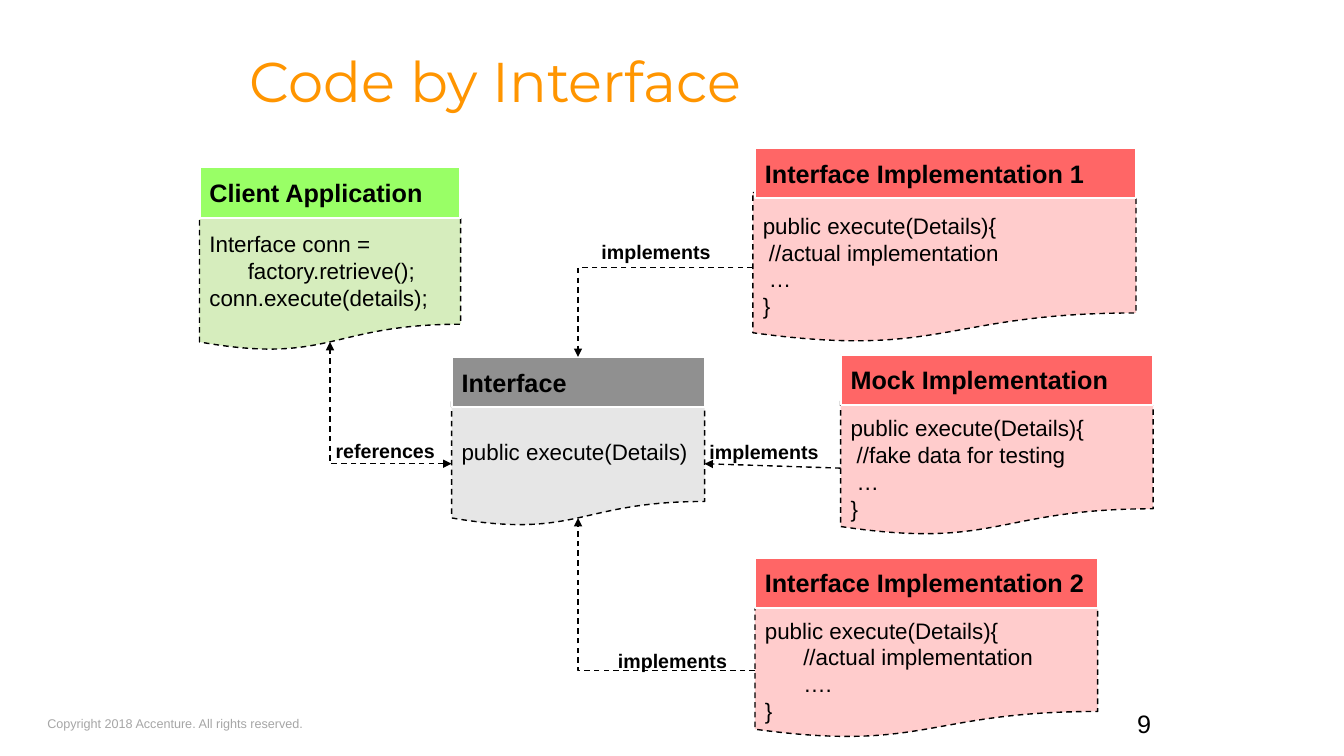
from dataclasses import dataclass

from lxml.etree import SubElement
from pptx import Presentation
from pptx.dml.color import RGBColor
from pptx.enum.dml import MSO_LINE
from pptx.enum.shapes import MSO_CONNECTOR, MSO_SHAPE
from pptx.enum.text import MSO_ANCHOR as ANCHOR, PP_ALIGN as ALIGN
from pptx.oxml.ns import qn
from pptx.util import Pt


@dataclass(frozen=True)
class Theme:
    """Colours, fonts and type sizes of the slide."""
    font: str = "Arial"
    title_font: str = "Montserrat"
    title: str = "FF9500"
    ink: str = "000000"
    paper: str = "FFFFFF"
    muted: str = "A6A6A6"
    green: tuple = ("99FF66", "D6EDBD")
    grey: tuple = ("909090", "E6E6E6")
    red: tuple = ("FF6666", "FFCCCC")
    title_size: float = 40
    head_size: float = 18
    code_size: float = 16
    label_size: float = 14
    foot_size: float = 9


T = Theme()
HEAD_H = 36
CODE_LINE = 18.4
WAVE_FOOT = 0.934


@dataclass(frozen=True)
class Box:
    """A rectangle in points with the points where links attach."""
    x: float
    y: float
    w: float
    h: float

    @property
    def left(self):
        """Middle of the left side."""
        return self.x, self.y + self.h / 2

    @property
    def right(self):
        """Middle of the right side."""
        return self.x + self.w, self.y + self.h / 2

    @property
    def foot(self):
        """Middle of the wavy lower edge."""
        return self.x + self.w / 2, self.y + self.h * WAVE_FOOT

    def emu(self):
        """Return left, top, width and height as lengths."""
        return [Pt(v) for v in (self.x, self.y, self.w, self.h)]


def write(shape, lines, size, color=T.ink, font=T.font, bold=False, align=ALIGN.LEFT,
          anchor=ANCHOR.TOP, insets=(7.2, 3.6, 7.2, 3.6), hang=0, wrap=True):
    """Fill a shape with one paragraph per line in the given format."""
    tf = shape.text_frame
    tf.word_wrap = wrap
    tf.vertical_anchor = anchor
    tf.margin_left, tf.margin_top, tf.margin_right, tf.margin_bottom = map(Pt, insets)
    for i, line in enumerate(lines):
        p = tf.paragraphs[0] if i == 0 else tf.add_paragraph()
        p.alignment = align
        if hang:
            pPr = p._p.get_or_add_pPr()
            pPr.set("marL", str(Pt(hang)))
            pPr.set("indent", str(-Pt(hang)))
        r = p.add_run()
        r.text = line
        r.font.size, r.font.name, r.font.bold = Pt(size), font, bold
        r.font.color.rgb = RGBColor.from_string(color)


def text(s, box, line, size, **fmt):
    """Add a one-line text box."""
    write(s.shapes.add_textbox(*box.emu()), [line], size, **fmt)


def panel(s, kind, box, fill, line, width):
    """Add a flat filled shape with an outline."""
    sp = s.shapes.add_shape(kind, *box.emu())
    sp.shadow.inherit = False
    sp.fill.solid()
    sp.fill.fore_color.rgb = RGBColor.from_string(fill)
    sp.line.color.rgb = RGBColor.from_string(line)
    sp.line.width = Pt(width)
    return sp


def module(s, box, name, code, colors, drop=33, lead=0, hang=0, overhang=0):
    """Draw a heading over a code sheet inside the box and return the sheet's box."""
    sheet = Box(box.x - overhang, box.y + drop, box.w + overhang, box.h - drop)
    sp = panel(s, MSO_SHAPE.FLOWCHART_DOCUMENT, sheet, colors[1], T.ink, 1)
    sp.line.dash_style = MSO_LINE.DASH
    write(sp, code, T.code_size, anchor=ANCHOR.MIDDLE, hang=hang,
          insets=(7.2, 7.2 + lead, 7.2, 7.2))
    head = panel(s, MSO_SHAPE.RECTANGLE, Box(box.x, box.y, box.w, HEAD_H),
                 colors[0], T.paper, 1.5)
    write(head, [name], T.head_size, bold=True, anchor=ANCHOR.MIDDLE, insets=(7.2,) * 4)
    return sheet


def link(s, start, end, label, offset, bent=True, both=False):
    """Draw a dashed arrow, across first and then up or down, with its label."""
    kind = MSO_CONNECTOR.ELBOW if bent else MSO_CONNECTOR.STRAIGHT
    c = s.shapes.add_connector(kind, *map(Pt, start + end))
    c.line.color.rgb = RGBColor.from_string(T.ink)
    c.line.width = Pt(1)
    c.line.dash_style = MSO_LINE.DASH
    spPr = c._element.spPr
    if bent:
        spPr.find(qn("a:prstGeom")).set("prst", "bentConnector2")
    for tag in ("a:headEnd", "a:tailEnd") if both else ("a:tailEnd",):
        SubElement(c.line._get_or_add_ln(), qn(tag), type="triangle")
    SubElement(spPr, qn("a:effectLst"))
    text(s, Box(start[0] - offset[0], start[1] - offset[1], 100, 24), label,
         T.label_size, bold=True)


def diagram(s, box):
    """Draw the client, the interface, its implementations and their links."""
    x, y = box.x, box.y
    client = module(s, Box(x, y + 13.7, 186.5, 131.1), "Client Application",
                    ["Interface conn =", "\tfactory.retrieve();", "conn.execute(details);"],
                    T.green, drop=35.3, hang=27.4)
    api_box = Box(x + 180.1, y + 149.1, 180.7, 121)
    api = module(s, api_box, "Interface", ["public execute(Details)"], T.grey, drop=31.7)
    first = module(s, Box(x + 396.8, y, 272.2, 139), "Interface Implementation 1",
                   ["public execute(Details){", " //actual implementation", " …", "}"],
                   T.red, drop=31.7, lead=CODE_LINE, overhang=1.5)
    mock = module(s, Box(x + 458, y + 147.6, 223.2, 129), "Mock Implementation",
                  ["public execute(Details){", " //fake data for testing", " …", "}"],
                  T.red, lead=CODE_LINE)
    second = module(s, Box(x + 396.8, y + 292.4, 244.8, 129), "Interface Implementation 2",
                    ["public execute(Details){", "\t//actual implementation", "\t….", "}"],
                    T.red, lead=CODE_LINE, hang=27.4)
    api_top = (api_box.x + api_box.w / 2, api_box.y)
    link(s, mock.left, api.right, "implements", (100.8, 23.5), bent=False)
    link(s, first.left, api_top, "implements", (115.2, 23.5))
    link(s, second.left, api.foot, "implements", (105, 19))
    link(s, api.left, client.foot, "references", (90, 21), both=True)


def title(s, box):
    """Write the slide title."""
    text(s, box, "Code by Interface", T.title_size, color=T.title, font=T.title_font,
         insets=(0,) * 4)


def footer(s, box):
    """Write the copyright line at the left and the page number at the right."""
    text(s, Box(box.x, box.y, 185, 18), "Copyright 2018 Accenture. All rights reserved.",
         T.foot_size, color=T.muted, insets=(0, 3.6, 0, 3.6), wrap=False)
    text(s, Box(box.x + box.w - 133, box.y + 2, 133, 21.6), "9", T.head_size,
         align=ALIGN.RIGHT, anchor=ANCHOR.BOTTOM)


def main():
    """Build the slide and save it."""
    prs = Presentation()
    prs.slide_width, prs.slide_height = Pt(960), Pt(540)
    s = prs.slides.add_slide(prs.slide_layouts[6])
    title(s, Box(178.5, 33.5, 630, 49))
    diagram(s, Box(142.5, 105.8, 682, 422))
    footer(s, Box(33.8, 507.6, 795.6, 24))
    prs.save("out.pptx")


if __name__ == "__main__":
    main()
